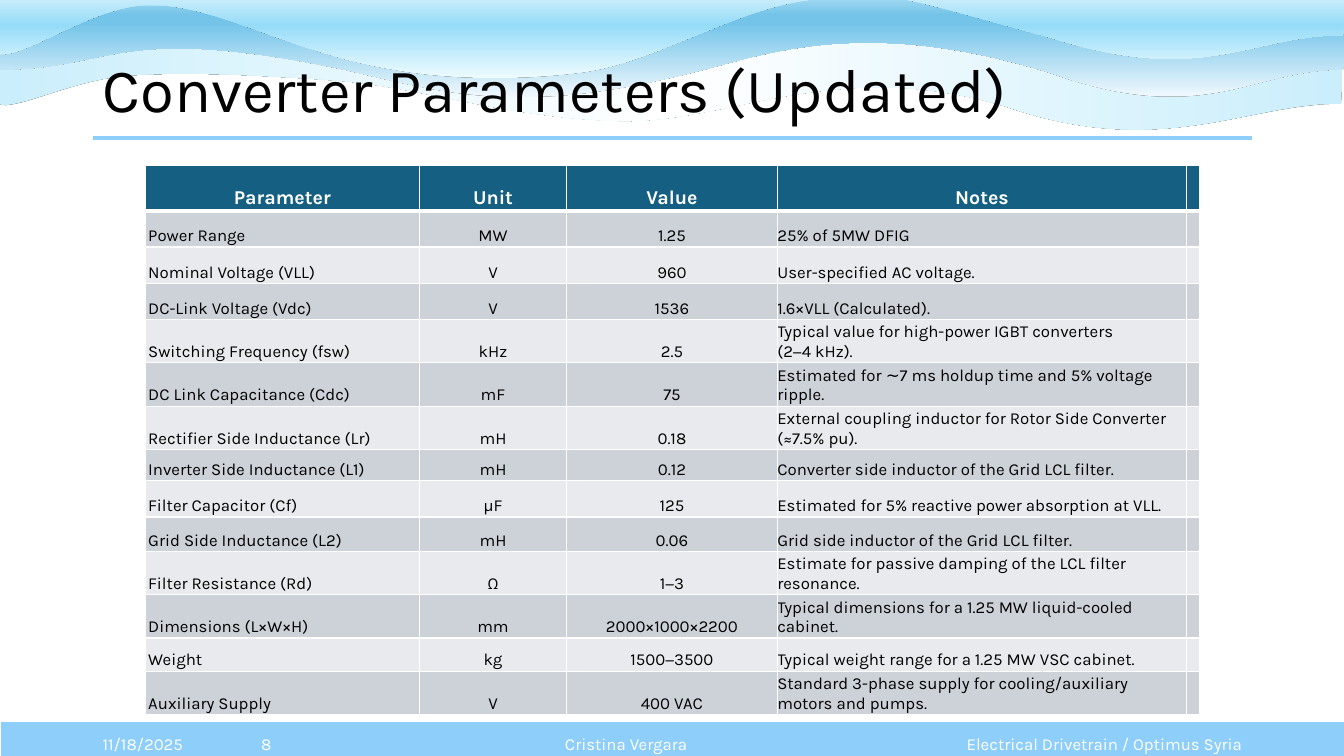
from dataclasses import dataclass
from lxml.etree import SubElement
from pptx import Presentation
from pptx.dml.color import RGBColor as RGB
from pptx.enum.shapes import MSO_CONNECTOR as Link, MSO_SHAPE as Shape
from pptx.enum.text import MSO_ANCHOR as Anchor, PP_ALIGN as Align
from pptx.oxml import parse_xml
from pptx.oxml.ns import nsdecls, qn
from pptx.util import Inches, Pt

TITLE = "Converter Parameters (Updated)"
FOOTER = [  # text, left, width, alignment
    ("11/18/2025", 0.92, 1.22, Align.LEFT),
    ("Electrical Drivetrain / Optimus Syria", 9.27, 3.15, Align.RIGHT),
    ("8", 2.13, 1.02, Align.CENTER),
    ("Cristina Vergara", 3.15, 6.12, Align.CENTER),
]
HEAD = ("Parameter", "Unit", "Value", "Notes", "")
ROWS = [  # row height, then the cells; "_" stands for a no-break space
    (0.36, "Power Range", "MW", "1.25", "25% of 5MW DFIG"),
    (0.36, "Nominal Voltage (VLL)", "V", "960", "User-specified AC voltage."),
    (0.36, "DC-Link Voltage (Vdc)", "V", "1536", "1.6×VLL (Calculated)."),
    (0.42, "Switching Frequency (fsw)", "kHz", "2.5",
     "Typical value for high-power IGBT converters (2−4_kHz)."),
    (0.42, "DC Link Capacitance (Cdc)", "mF", "75",
     "Estimated for ∼7_ms holdup time and 5% voltage ripple."),
    (0.42, "Rectifier Side Inductance (Lr)", "mH", "0.18",
     "External coupling inductor for Rotor Side Converter (≈7.5%_pu)."),
    (0.31, "Inverter Side Inductance (L1)", "mH", "0.12",
     "Converter side inductor of the Grid LCL filter."),
    (0.36, "Filter Capacitor (Cf)", "μF", "125",
     "Estimated for 5% reactive power absorption at VLL."),
    (0.34, "Grid Side Inductance (L2)", "mH", "0.06",
     "Grid side inductor of the Grid LCL filter."),
    (0.42, "Filter Resistance (Rd)", "Ω", "1−3",
     "Estimate for passive damping of the LCL filter resonance."),
    (0.42, "Dimensions (L×W×H)", "mm", "2000×1000×2200",
     "Typical dimensions for a 1.25_MW liquid-cooled cabinet."),
    (0.33, "Weight", "kg", "1500−3500",
     "Typical weight range for a 1.25_MW VSC cabinet."),
    (0.42, "Auxiliary Supply", "V", "400_VAC",
     "Standard 3-phase supply for cooling/auxiliary motors and pumps."),
]
HEAD_TALL = 0.45
COLS = (2.72, 1.46, 2.09, 4.06, 0.13)
SIDES = (Align.LEFT, Align.CENTER, Align.CENTER, Align.LEFT, Align.LEFT)
HARD = chr(160)
UNIT = 1000  # freeform units per inch

# Each wave: box, gradient angle, gradient stops, start, steps.
# A step of six numbers is a cubic curve, a step of two a straight line.
WAVES = [
    ((-0.04, 0.3, 13.36, 0.98), 180,
     [(0, "CAEEFB"), (50, "FFFFFF"), (100, "CAEEFB")], (13.3, 1.03), [
        (12.37, 1.02, 11.52, 1.59, 9.99, 1.06), (8.27, 0.54, 7.21, 1.24, 6.1, 1.2),
        (4.99, 1.16, 4.21, 0.87, 3.35, 0.8), (2.49, 0.74, 1.83, 0.71, 1.27, 0.75),
        (0.71, 0.79, 0.14, 1.11, -0.02, 1.03), (-0.02, 0.8, -0.04, 0.53, -0.04, 0.3),
        (3.13, 0.31), (6.52, 0.34), (9.41, 0.32), (13.32, 0.34),
        (13.32, 0.55, 13.32, 0.8, 13.3, 1.03)]),
    ((0, -0.02, 13.33, 0.98), 270,
     [(0, "F0F8FD"), (74, "74C4E9"), (83, "74C4E9"), (100, "A2D8F0")], (13.32, 0.69), [
        (12.39, 0.69, 11.96, 1.27, 10.44, 0.73), (8.71, 0.19, 7.73, 0.49, 7.06, 0.67),
        (5.28, 1.14, 4.59, 0.97, 3.46, 0.7), (1.13, 0.21, 1.15, 0.69, 0, 0.69),
        (0, 0.46, 0.01, 0.23, 0.01, -0.01),
        (3.13, 0), (6.54, -0.02), (9.46, -0.01), (13.33, 0.03),
        (13.33, 0.25, 13.34, 0.46, 13.32, 0.69)]),
    ((-0.03, -0.28, 13.36, 1.06), 270,
     [(0, "EFFCFF"), (50, "96DCF8"), (100, "FFFFFF")], (13.32, 0.35), [
        (12.39, 0.35, 11.96, 0.86, 10.44, 0.38), (8.72, -0.09, 8.91, -0.07, 8.13, -0.01),
        (7.35, 0.04, 6.53, 0.62, 5.76, 0.72), (4.98, 0.82, 4.24, 0.79, 3.47, 0.6),
        (2.58, 0.36, 2.07, 0.05, 1.5, 0.05), (0.92, 0.04, 0.22, 0.61, -0.03, 0.53),
        (-0.02, 0.32, 0.01, -0.06, 0.01, -0.27),
        (3.13, -0.26), (6.54, -0.28), (9.46, -0.27), (13.33, -0.24),
        (13.33, -0.04, 13.34, 0.14, 13.32, 0.35)]),
]


@dataclass(frozen=True)
class Theme:
    font: str = "Karla"
    ink: str = "000000"
    white: str = "FFFFFF"
    sky: str = "8ECEFA"
    head: str = "156082"
    bands: tuple = ("CCD2D8", "E8EAED")
    shade: str = "000000"
    big: int = 44
    mid: int = 14
    small: int = 12


T = Theme()


def write(para, text, size, color, align, bold=False):
    para.alignment = align
    run = para.add_run()
    run.text = text.replace("_", HARD)
    font = run.font
    font.name, font.size, font.bold = T.font, Pt(size), bold
    font.color.rgb = RGB.from_string(color)


def label(slide, text, box, size, color, align):
    frame = slide.shapes.add_textbox(*map(Inches, box)).text_frame
    frame.word_wrap = True
    frame.vertical_anchor = Anchor.MIDDLE
    write(frame.paragraphs[0], text, size, color, align)
    return frame.paragraphs[0]


def bend(form, box, start, steps):
    """Give the outline of a box-shaped freeform its curves."""
    route = form.element.spPr.find(".//" + qn("a:path"))
    for old in list(route):
        route.remove(old)
    for step in (start, *steps):
        tag = "cubicBezTo" if len(step) == 6 else "moveTo" if step is start else "lnTo"
        part = SubElement(route, qn(f"a:{tag}"))
        for x, y in zip(step[::2], step[1::2]):
            SubElement(part, qn("a:pt"), x=str(round((x - box[0]) * UNIT)),
                       y=str(round((y - box[1]) * UNIT)))
    SubElement(route, qn("a:close"))


def wave(slide, box, angle, stops, start, steps):
    left, top, wide, tall = (round(v * UNIT) for v in box)
    pen = slide.shapes.build_freeform(left, top, scale=Inches(1) / UNIT)
    pen.add_line_segments([(left + wide, top), (left + wide, top + tall),
                           (left, top + tall)], close=True)
    form = pen.convert_to_shape()
    bend(form, box, start, steps)
    form.line.fill.background()
    marks = "".join(f'<a:gs pos="{pos * 1000}"><a:srgbClr val="{color}"/></a:gs>'
                    for pos, color in stops)
    grad = parse_xml(f'<a:gradFill {nsdecls("a")}><a:gsLst>{marks}</a:gsLst>'
                     f'<a:lin ang="{angle * 60000}" scaled="0"/></a:gradFill>')
    props = form.element.spPr
    props.find(qn("a:ln")).addprevious(grad)
    props.append(parse_xml(
        f'<a:effectLst {nsdecls("a")}><a:outerShdw blurRad="0" dist="0" dir="0">'
        f'<a:srgbClr val="{T.shade}"/></a:outerShdw></a:effectLst>'))


def edge(cell, top, base):
    props = cell._tc.get_or_add_tcPr()
    for tag, width in (("lnL", 1), ("lnR", 1), ("lnT", top), ("lnB", base)):
        line = SubElement(props, qn(f"a:{tag}"), w=str(Pt(width)))
        SubElement(SubElement(line, qn("a:solidFill")), qn("a:srgbClr"), val=T.white)


def grid(slide):
    talls = [HEAD_TALL] + [row[0] for row in ROWS]
    lines = [HEAD] + [(*row[1:], "") for row in ROWS]
    box = (1.44, 1.64, sum(COLS), sum(talls))
    table = slide.shapes.add_table(len(lines), len(COLS), *map(Inches, box)).table
    for col, width in zip(table.columns, COLS):
        col.width = Inches(width)
    for r, (tall, texts) in enumerate(zip(talls, lines)):
        table.rows[r].height = Inches(tall)
        top = r == 0
        size = T.mid if top else T.small
        for c, text in enumerate(texts):
            cell = table.cell(r, c)
            edge(cell, 3 if r == 1 else 1, 3 if top else 1)
            cell.fill.solid()
            cell.fill.fore_color.rgb = RGB.from_string(
                T.head if top else T.bands[(r - 1) % 2])
            cell.vertical_anchor = Anchor.BOTTOM
            cell.margin_left = cell.margin_right = Inches(0.03 if c < 3 else 0)
            cell.margin_top, cell.margin_bottom = Inches(0.02), Inches(0.01)
            para = cell.text_frame.paragraphs[0]
            if text:
                write(para, text, size, T.white if top else T.ink,
                      Align.CENTER if top else SIDES[c], top)
            else:
                SubElement(para._p, qn("a:endParaRPr"), sz=str(size * 100))


def main():
    deck = Presentation()
    deck.slide_width, deck.slide_height = Inches(13.33), Inches(7.5)
    slide = deck.slides.add_slide(deck.slide_layouts[6])

    bar = slide.shapes.add_shape(Shape.RECTANGLE, *map(Inches, (0, 7.15, 13.35, 0.4)))
    bar.shadow.inherit = False
    bar.fill.solid()
    bar.fill.fore_color.rgb = RGB.from_string(T.sky)
    bar.line.color.rgb = RGB.from_string(T.white)
    bar.line.width = Pt(1.5)

    for item in WAVES:
        wave(slide, *item)

    rule = slide.shapes.add_connector(
        Link.STRAIGHT, *map(Inches, (0.92, 1.37, 12.42, 1.37)))
    rule.line.color.rgb = RGB.from_string(T.sky)
    rule.line.width = Pt(3)
    SubElement(rule.element.spPr, qn("a:effectLst"))

    title = label(slide, TITLE, (0.92, 0.19, 11.5, 1.45), T.big, T.ink, Align.LEFT)
    title.line_spacing = 0.9
    for text, left, width, align in FOOTER:
        label(slide, text, (left, 7.18, width, 0.4), T.small, T.white, align)
    grid(slide)
    deck.save("out.pptx")


if __name__ == "__main__":
    main()
